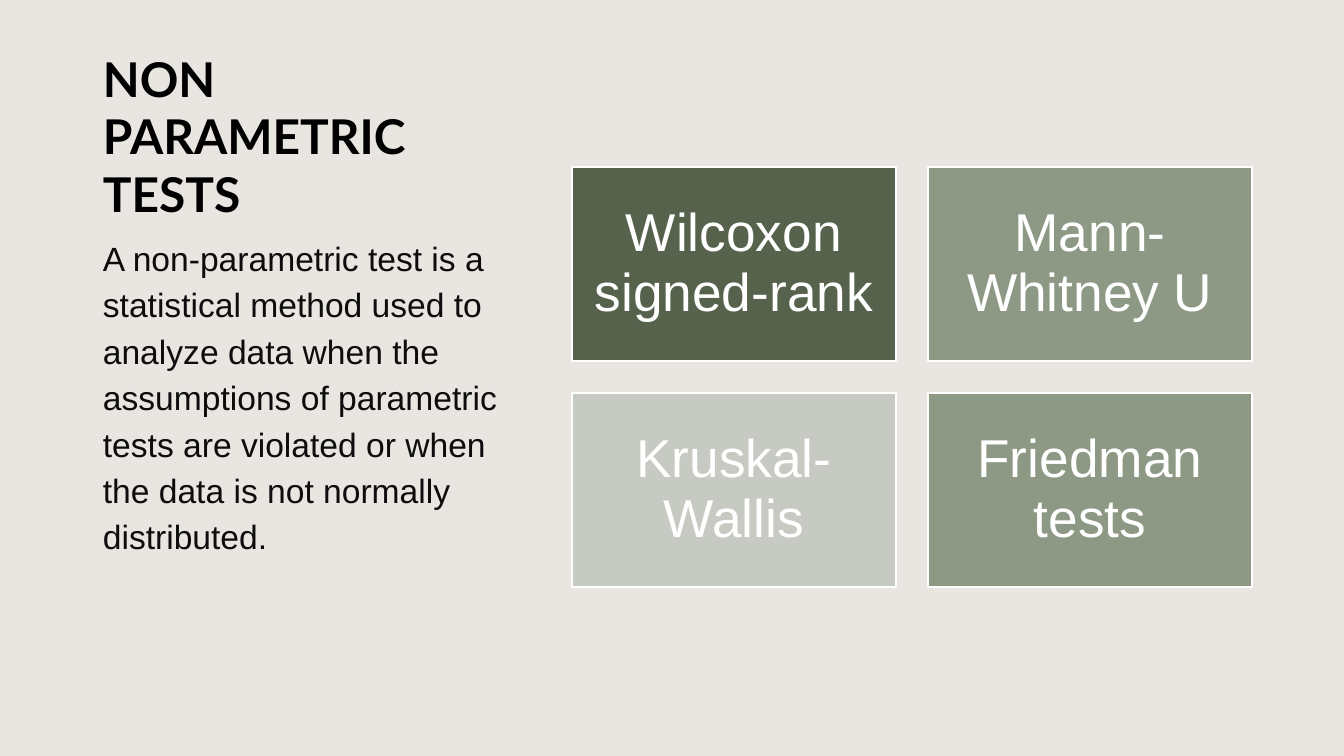
from itertools import product

from pptx import Presentation
from pptx.dml.color import RGBColor
from pptx.enum.shapes import MSO_SHAPE
from pptx.enum.text import MSO_ANCHOR, PP_ALIGN
from pptx.util import Emu, Pt

EMU_PER_PX = 12192000 / 1344
COLORS = {
    "background": "E9E5E1",
    "title": "000000",
    "body": "0D0D0D",
    "white": "FFFFFF",
    "dark": "57624D",
    "sage": "8E9985",
    "pale": "C6CAC3",
}
TESTS = [
    ("Wilcoxon signed-rank", "dark"),
    ("Mann-Whitney U", "sage"),
    ("Kruskal-Wallis", "pale"),
    ("Friedman tests", "sage"),
]


def px(length):
    return Emu(round(length * EMU_PER_PX))


def color(name):
    return RGBColor.from_string(COLORS[name])


def write(frame, text, *, size, ink, font="Arial", bold=False, align=PP_ALIGN.LEFT,
          anchor=MSO_ANCHOR.TOP, spacing=1.0, before=0, inset=None):
    frame.word_wrap = True
    frame.vertical_anchor = anchor
    if inset is not None:
        frame.margin_left = frame.margin_right = px(inset)
        frame.margin_top = frame.margin_bottom = px(inset)
    paragraph = frame.paragraphs[0]
    paragraph.alignment = align
    paragraph.line_spacing = spacing
    paragraph.space_before = Pt(before)
    run = paragraph.add_run()
    run.text = text
    run.font.name = font
    run.font.size = Pt(size)
    run.font.bold = bold
    run.font.color.rgb = color(ink)


class TestSlide:
    """Hold the slide and draw its text and cards in one style."""

    def __init__(self, presentation):
        self.slide = presentation.slides.add_slide(presentation.slide_layouts[6])
        fill = self.slide.background.fill
        fill.solid()
        fill.fore_color.rgb = color("background")

    def text(self, left, top, width, height, content, **style):
        box = self.slide.shapes.add_textbox(px(left), px(top), px(width), px(height))
        write(box.text_frame, content, **style)

    def card(self, left, top, width, height, label, fill):
        card = self.slide.shapes.add_shape(
            MSO_SHAPE.RECTANGLE, px(left), px(top), px(width), px(height))
        card.shadow.inherit = False
        card.fill.solid()
        card.fill.fore_color.rgb = color(fill)
        card.line.color.rgb = color("white")
        card.line.width = Pt(1)
        write(card.text_frame, label, size=38, ink="white", align=PP_ALIGN.CENTER,
              anchor=MSO_ANCHOR.MIDDLE, spacing=0.94, inset=16)


def main():
    presentation = Presentation()
    presentation.slide_width = px(1344)
    presentation.slide_height = px(756)
    page = TestSlide(presentation)

    page.text(93, 50, 433, 177, "NON PARAMETRIC TESTS", size=34.2, ink="title",
              font="Lato", bold=True, anchor=MSO_ANCHOR.BOTTOM)
    page.text(93, 227, 433, 420,
              "A non-parametric test is a statistical method used to analyze data when "
              "the assumptions of parametric tests are violated or when the data is not "
              "normally distributed.",
              size=24, ink="body", spacing=1.15, before=10)

    card_width, card_height, gap = 324, 194, 32
    for (row, column), (label, fill) in zip(product(range(2), repeat=2), TESTS):
        page.card(572 + column * (card_width + gap), 167 + row * (card_height + gap),
                  card_width, card_height, label, fill)

    presentation.save("out.pptx")


if __name__ == "__main__":
    main()
